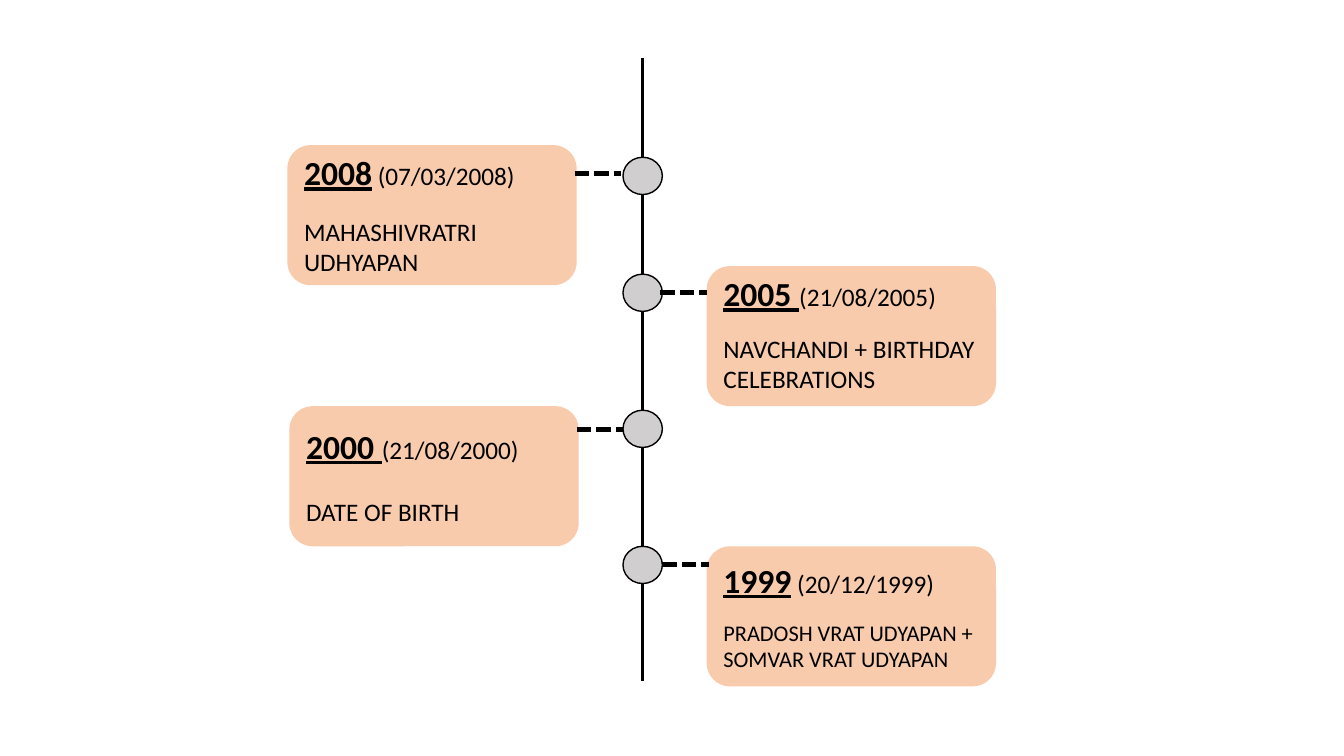
from dataclasses import dataclass

from lxml import etree
from pptx import Presentation, util as u
from pptx.dml.color import RGBColor
from pptx.enum import dml, shapes, text
from pptx.oxml.ns import qn


@dataclass(frozen=True)
class Theme:
    font: str = "Calibri"
    ink: RGBColor = RGBColor(0, 0, 0)
    node: RGBColor = RGBColor(0xD0, 0xCE, 0xCE)
    card: RGBColor = RGBColor(0xF8, 0xCB, 0xAD)
    year_size: int = 24
    date_size: int = 18
    spine_width: float = 2.5
    node_outline: float = 1
    dash_width: float = 3.5


@dataclass(frozen=True)
class Event:
    """Columns and rows are percentages of the slide; inset and gap are points."""
    year: str
    date: str
    label: str
    card_column: float
    card_row: float
    node_row: float
    dash_column: float
    dash_row: float
    inset: float
    gap: float
    label_size: int = 18


EVENTS = [
    Event("1999", " (20/12/1999)", "PRADOSH VRAT UDYAPAN + SOMVAR VRAT UDYAPAN",
          52.58, 72.27, 74.73, 49.28, 74.67, 4.5, 13.5, 16),
    Event("2000 ", "(21/08/2000)", "DATE OF BIRTH",
          21.53, 53.73, 56.73, 42.9, 56.8, 9, 22),
    Event("2005 ", "(21/08/2005)", "NAVCHANDI + BIRTHDAY CELEBRATIONS",
          52.58, 35.2, 38.73, 49.13, 38.67, 0, 14.5),
    Event("2008", " (07/03/2008)", "MAHASHIVRATRI UDHYAPAN",
          21.38, 19.2, 23.27, 42.75, 22.93, 0, 17),
]
SPINE_COLUMN, SPINE_TOP, SPINE_BOTTOM = 47.82, 7.73, 90.13
NODE_WIDTH, NODE_HEIGHT = 2.93, 4.93
CARD_WIDTH, CARD_HEIGHT = 21.53, 18.53
DASH_LENGTH = 3.45


def apply_format(target, values):
    for name, value in values.items():
        setattr(target, name, value)


class Timeline:
    def __init__(self, deck, theme):
        self.width, self.height = deck.slide_width, deck.slide_height
        self.theme = theme
        self.slide = deck.slides.add_slide(deck.slide_layouts[6])

    def at(self, column, row):
        """Turn percentages of the slide into lengths."""
        return u.Emu(round(self.width * column / 100)), u.Emu(round(self.height * row / 100))

    def line(self, start, end, weight, dash=None):
        connector = self.slide.shapes.add_connector(
            shapes.MSO_CONNECTOR.STRAIGHT, *self.at(*start), *self.at(*end))
        connector.line.color.rgb = self.theme.ink
        apply_format(connector.line, {"width": u.Pt(weight), "dash_style": dash})
        etree.SubElement(connector._element.spPr, qn("a:effectLst"))

    def shape(self, preset, place, size, fill):
        outline = self.slide.shapes.add_shape(preset, *self.at(*place), *self.at(*size))
        outline.shadow.inherit = False
        outline.fill.solid()
        outline.fill.fore_color.rgb = fill
        outline.line.fill.background()
        return outline

    def node(self, row):
        place = SPINE_COLUMN - NODE_WIDTH / 2, row - NODE_HEIGHT / 2
        circle = self.shape(shapes.MSO_SHAPE.OVAL, place, (NODE_WIDTH, NODE_HEIGHT), self.theme.node)
        circle.line.color.rgb = self.theme.ink
        circle.line.width = u.Pt(self.theme.node_outline)

    def add_words(self, paragraph, words, size, **extra):
        run = paragraph.add_run()
        run.text = words
        run.font.color.rgb = self.theme.ink
        apply_format(run.font, {"name": self.theme.font, "size": u.Pt(size), **extra})

    def card(self, event):
        panel = self.shape(shapes.MSO_SHAPE.ROUNDED_RECTANGLE, (event.card_column, event.card_row),
                           (CARD_WIDTH, CARD_HEIGHT), self.theme.card)
        frame = panel.text_frame
        apply_format(frame, {"word_wrap": True, "vertical_anchor": text.MSO_ANCHOR.TOP,
                             "margin_top": u.Pt(event.inset), "margin_bottom": 0})
        heading, label = frame.paragraphs[0], frame.add_paragraph()
        self.add_words(heading, event.year, self.theme.year_size, bold=True, underline=True)
        self.add_words(heading, event.date, self.theme.date_size)
        self.add_words(label, event.label, event.label_size)
        for paragraph in (heading, label):
            paragraph.alignment = text.PP_ALIGN.LEFT
        label.space_before = u.Pt(event.gap)

    def dash(self, event):
        self.line((event.dash_column, event.dash_row),
                  (event.dash_column + DASH_LENGTH, event.dash_row),
                  self.theme.dash_width, dml.MSO_LINE.SQUARE_DOT)


def main():
    deck = Presentation()
    apply_format(deck, {"slide_width": u.Inches(13.33), "slide_height": u.Inches(7.5)})
    timeline = Timeline(deck, Theme())
    timeline.line((SPINE_COLUMN, SPINE_TOP), (SPINE_COLUMN, SPINE_BOTTOM), timeline.theme.spine_width)
    for event in EVENTS:
        timeline.node(event.node_row)
    for event in EVENTS:
        timeline.card(event)
        timeline.dash(event)
    deck.save("out.pptx")


if __name__ == "__main__":
    main()
